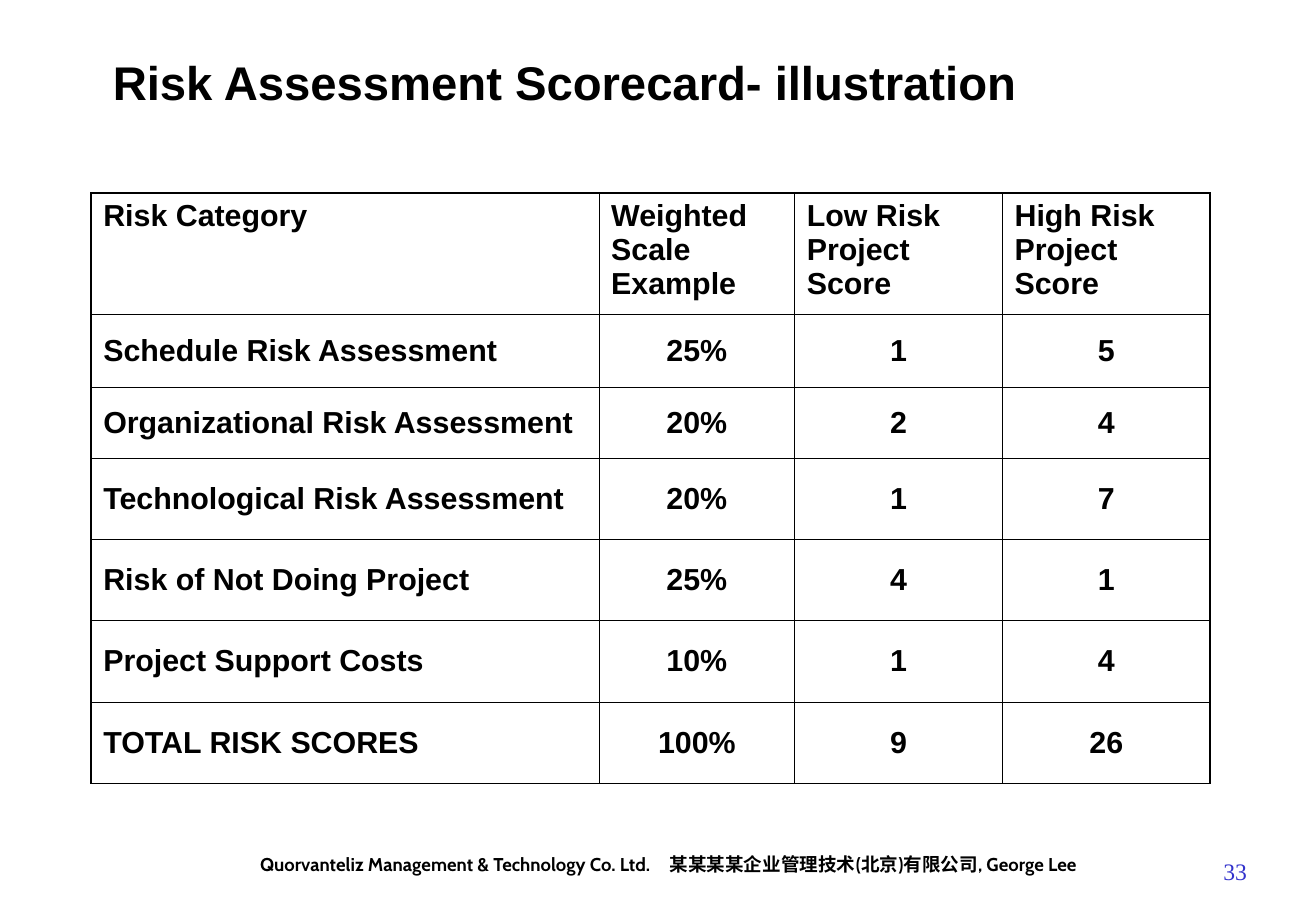
"""Build the risk assessment scorecard slide."""
import pptx
import pptx.dml.color
import pptx.enum.text
import pptx.oxml
import pptx.oxml.ns
import pptx.util

Inches = pptx.util.Inches
Pt = pptx.util.Pt
ALIGN = pptx.enum.text.PP_ALIGN
ANCHOR = pptx.enum.text.MSO_ANCHOR

COLORS = {"text": "000000", "border": "000000", "cell": "FFFFFF", "number": "3333CC"}
THIN, THICK = Pt(0.45), Pt(1.08)


def style(p, font, size, color, bold, align):
    p.alignment = align
    p.font.name = font
    p.font.size = Pt(size)
    p.font.bold = bold
    p.font.color.rgb = pptx.dml.color.RGBColor.from_string(COLORS[color])


def add_border(cell, side, width):
    cell._tc.get_or_add_tcPr().append(pptx.oxml.parse_xml(
        f'<a:ln{side} {pptx.oxml.ns.nsdecls("a")} w="{width}"><a:solidFill>'
        f'<a:srgbClr val="{COLORS["border"]}"/></a:solidFill></a:ln{side}>'))


prs = pptx.Presentation()
prs.slide_width = Inches(10.83)
prs.slide_height = Inches(7.5)
s = prs.slides.add_slide(prs.slide_layouts[6])

texts = [
    ("Quorvanteliz Management & Technology Co. Ltd.　某某某某企业管理技术(北京)有限公司, George Lee",
     (1.5, 6.97, 8, 0.29), "Cabin", 11, "text", True, ALIGN.CENTER, ANCHOR.TOP, None),
    ("Risk Assessment Scorecard- illustration",
     (0.83, 0.33, 9.2, 0.83), "Arial", 28, "text", True, ALIGN.LEFT, ANCHOR.MIDDLE, 0.6),
    ("33",
     (9.5, 6.92, 1.33, 0.5), "Times New Roman", 14, "number", False, ALIGN.CENTER, ANCHOR.MIDDLE, None),
]
for text, box, font, size, color, bold, align, anchor, spacing in texts:
    tf = s.shapes.add_textbox(*map(Inches, box)).text_frame
    tf.word_wrap = True
    tf.vertical_anchor = anchor
    p = tf.paragraphs[0]
    p.text = text
    p.line_spacing = spacing
    style(p, font, size, color, bold, align)

rows = [
    ("Risk Category", "Weighted Scale Example", "Low Risk Project Score", "High Risk Project Score"),
    ("Schedule Risk Assessment", "25%", "1", "5"),
    ("Organizational Risk Assessment", "20%", "2", "4"),
    ("Technological Risk Assessment", "20%", "1", "7"),
    ("Risk of Not Doing Project", "25%", "4", "1"),
    ("Project Support Costs", "10%", "1", "4"),
    ("TOTAL RISK SCORES", "100%", "9", "26"),
]
widths = [4.18, 1.61, 1.71, 1.71]
heights = [1, 0.6, 0.58] + [0.67] * 4
last_row, last_col = len(rows) - 1, len(widths) - 1

table = s.shapes.add_table(len(rows), len(widths), Inches(0.75), Inches(1.59),
                           Inches(sum(widths)), Inches(sum(heights))).table
table.first_row = False
table.horz_banding = False
for column, width in zip(table.columns, widths):
    column.width = Inches(width)
for row, height in zip(table.rows, heights):
    row.height = Inches(height)

for i, values in enumerate(rows):
    for j, value in enumerate(values):
        cell = table.cell(i, j)
        cell.vertical_anchor = ANCHOR.MIDDLE if i else ANCHOR.TOP
        p = cell.text_frame.paragraphs[0]
        p.text = value
        style(p, "Arial", 18, "text", True, ALIGN.CENTER if i and j else ALIGN.LEFT)
        outer = {"L": j == 0, "R": j == last_col, "T": i == 0, "B": i == last_row}
        for side, is_outer in outer.items():
            add_border(cell, side, THICK if is_outer else THIN)
        cell.fill.solid()
        cell.fill.fore_color.rgb = pptx.dml.color.RGBColor.from_string(COLORS["cell"])

prs.save("out.pptx")
